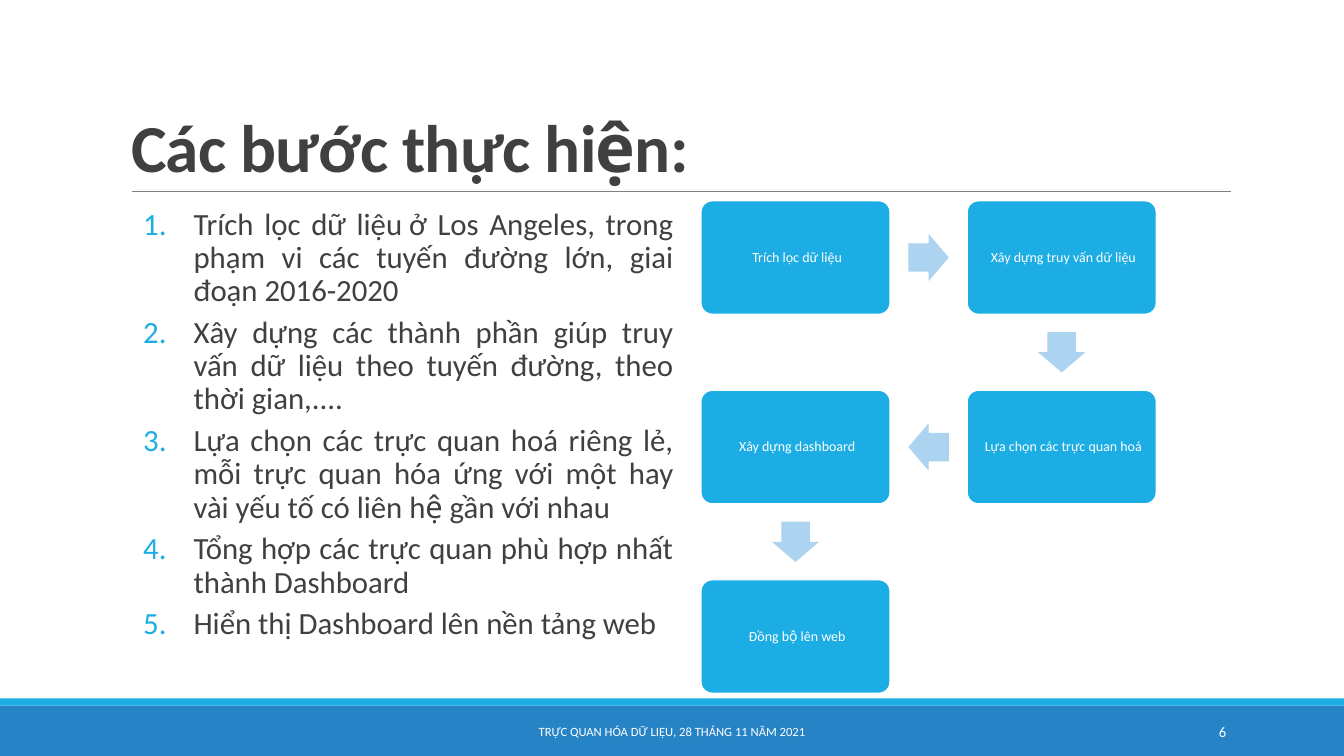
from itertools import pairwise

from lxml import etree
from pptx import Presentation
from pptx import util as u
from pptx.dml.color import RGBColor
from pptx.enum import shapes, text
from pptx.oxml.ns import qn

COLORS = {
    "accent": "1CADE4",
    "footer": "2683C6",
    "arrow": "ACD3EF",
    "rule": "808080",
    "ink": "404040",
    "white": "FFFFFF",
}
FONT = "Calibri"
TITLE = "Ca\u0301c b\u01b0\u01a1\u0301c\u00a0th\u01b0\u0323c hi\u00ea\u0323n:"
STEPS = [
    "Trích lọc dữ liệu\u00a0ở Los Angeles, trong phạm vi các tuyến đường lớn, "
    "giai đoạn 2016-2020",
    "Xây dựng các thành phần giúp truy vấn dữ liệu theo tuyến đường, "
    "theo thời gian,....",
    "Lựa chọn các trực quan hoá riêng lẻ, mỗi trực quan hóa ứng với một hay "
    "vài yếu tố co\u0301 liên h\u00ea\u0323 g\u00e2\u0300n v\u01a1\u0301i nhau",
    "Tổng hợp các trực quan phù hợp nhất thành\u00a0Dashboard",
    "Hiển thị Dashboard lên nền tảng web",
]
FLOW = [
    ("\u00a0Trích\u00a0lọc\u00a0dữ\u00a0liệu", 0, 0),
    ("\u00a0Xây d\u01b0\u0323ng\u00a0truy\u00a0vấn\u00a0dữ\u00a0liệu", 1, 0),
    ("\u00a0Lựa\u00a0chọn\u00a0các\u00a0trực\u00a0quan\u00a0hoá", 1, 1),
    ("\u00a0Xây d\u01b0\u0323ng\u00a0dashboard", 0, 1),
    ("\u00a0\u0110\u00f4\u0300ng b\u00f4\u0323 lên web", 0, 2),
]
FLOW_LEFT, FLOW_TOP = 6.95, 1.99
COLUMN_STEP, ROW_STEP = 2.64, 1.88
BOX_WIDTH, BOX_HEIGHT = 1.88, 1.13
ARROW_LENGTH, ARROW_WIDTH = 0.4, 0.47
ROTATIONS = {(1, 0): 0, (0, 1): 90, (-1, 0): 180}


def color(name):
    return RGBColor.from_string(COLORS[name])


def place(shape, left, top, width, height):
    shape.left, shape.top = u.Inches(left), u.Inches(top)
    shape.width, shape.height = u.Inches(width), u.Inches(height)


def format_runs(paragraph, size, color_name, bold=False):
    for run in paragraph.runs:
        run.font.name = FONT
        run.font.size = u.Pt(size)
        run.font.bold = bold
        run.font.color.rgb = color(color_name)


def add_block(slide, kind, left, top, width, height, fill):
    block = slide.shapes.add_shape(
        kind, u.Inches(left), u.Inches(top), u.Inches(width), u.Inches(height))
    block.shadow.inherit = False
    block.fill.solid()
    block.fill.fore_color.rgb = color(fill)
    block.line.fill.background()
    return block


def add_rule(slide, left, right, top):
    rule = slide.shapes.add_connector(
        shapes.MSO_CONNECTOR.STRAIGHT,
        u.Inches(left), u.Inches(top), u.Inches(right), u.Inches(top))
    rule.line.color.rgb = color("rule")
    rule.line.width = u.Pt(0.5)
    etree.SubElement(rule._element.spPr, qn("a:effectLst"))


def add_label(slide, words, left, width, size, alignment):
    label = slide.shapes.add_textbox(
        u.Inches(left), u.Inches(7.06), u.Inches(width), u.Inches(0.4))
    frame = label.text_frame
    frame.word_wrap = True
    frame.vertical_anchor = text.MSO_ANCHOR.MIDDLE
    frame.text = words
    frame.paragraphs[0].alignment = alignment
    format_runs(frame.paragraphs[0], size, "white")


def fill_title(title):
    place(title, 1.2, 0.31, 11, 1.59)
    frame = title.text_frame
    frame.text = TITLE
    frame.auto_size = text.MSO_AUTO_SIZE.NONE
    frame.vertical_anchor = text.MSO_ANCHOR.BOTTOM
    paragraph = frame.paragraphs[0]
    paragraph.alignment = text.PP_ALIGN.LEFT
    paragraph.line_spacing = 0.85
    format_runs(paragraph, 48, "ink", bold=True)
    paragraph.runs[0].font._element.set("spc", "-50")


def number_paragraph(paragraph):
    properties = paragraph._p.get_or_add_pPr()
    properties.set("marL", str(u.Inches(0.72)))
    properties.set("indent", str(u.Inches(-0.5)))
    bullet_color = etree.SubElement(properties, qn("a:buClr"))
    etree.SubElement(bullet_color, qn("a:srgbClr"), val=COLORS["accent"])
    etree.SubElement(properties, qn("a:buFont"), typeface="+mj-lt")
    etree.SubElement(properties, qn("a:buAutoNum"), type="arabicPeriod")


def fill_steps(body):
    place(body, 1.2, 2.02, 5.48, 4.84)
    frame = body.text_frame
    frame.text = "\n".join(STEPS)
    frame.auto_size = text.MSO_AUTO_SIZE.NONE
    frame.vertical_anchor = text.MSO_ANCHOR.TOP
    frame.margin_left = frame.margin_right = 0
    for paragraph in frame.paragraphs:
        paragraph.alignment = text.PP_ALIGN.JUSTIFY
        paragraph.line_spacing = 0.9
        paragraph.space_before = u.Pt(2)
        paragraph.space_after = u.Pt(4)
        number_paragraph(paragraph)
        format_runs(paragraph, 22, "ink")


def add_flow_box(slide, words, column, row):
    box = add_block(
        slide, shapes.MSO_SHAPE.ROUNDED_RECTANGLE,
        FLOW_LEFT + column * COLUMN_STEP, FLOW_TOP + row * ROW_STEP,
        BOX_WIDTH, BOX_HEIGHT, "accent")
    box.adjustments[0] = 0.1
    box.line.color.rgb = color("white")
    box.line.width = u.Pt(1.25)
    frame = box.text_frame
    frame.margin_left = frame.margin_right = u.Inches(0.04)
    frame.margin_top = frame.margin_bottom = u.Inches(0.04)
    frame.word_wrap = True
    frame.vertical_anchor = text.MSO_ANCHOR.MIDDLE
    frame.text = words
    paragraph = frame.paragraphs[0]
    paragraph.alignment = text.PP_ALIGN.CENTER
    paragraph.line_spacing = 0.9
    format_runs(paragraph, 10, "white")


def add_flow_arrow(slide, start, end):
    (column, row), (next_column, next_row) = start, end
    center_x = FLOW_LEFT + (column + next_column) / 2 * COLUMN_STEP + BOX_WIDTH / 2
    center_y = FLOW_TOP + (row + next_row) / 2 * ROW_STEP + BOX_HEIGHT / 2
    arrow = add_block(
        slide, shapes.MSO_SHAPE.RIGHT_ARROW,
        center_x - ARROW_LENGTH / 2, center_y - ARROW_WIDTH / 2,
        ARROW_LENGTH, ARROW_WIDTH, "arrow")
    arrow.adjustments[0] = 0.6
    arrow.adjustments[1] = 0.5
    arrow.rotation = ROTATIONS[next_column - column, next_row - row]


def add_flow(slide):
    for words, column, row in FLOW:
        add_flow_box(slide, words, column, row)
    for (_, *start), (_, *end) in pairwise(FLOW):
        add_flow_arrow(slide, start, end)


def main():
    presentation = Presentation()
    presentation.slide_width = u.Inches(13.33)
    presentation.slide_height = u.Inches(7.5)
    slide = presentation.slides.add_slide(presentation.slide_layouts[1])
    fill_title(slide.shapes.title)
    fill_steps(slide.placeholders[1])
    add_block(slide, shapes.MSO_SHAPE.RECTANGLE, 0, 7, 13.33, 0.5, "footer")
    add_block(slide, shapes.MSO_SHAPE.RECTANGLE, 0, 6.93, 13.33, 0.07, "accent")
    add_rule(slide, 1.31, 12.21, 1.9)
    add_label(slide, "6", 10.83, 1.43, 10.5, text.PP_ALIGN.RIGHT)
    add_label(slide, "TRỰC QUAN HÓA DỮ LIỆU, 28 THÁNG 11 NĂM 2021",
              4.03, 5.27, 9, text.PP_ALIGN.CENTER)
    add_flow(slide)
    presentation.save("out.pptx")


main()
